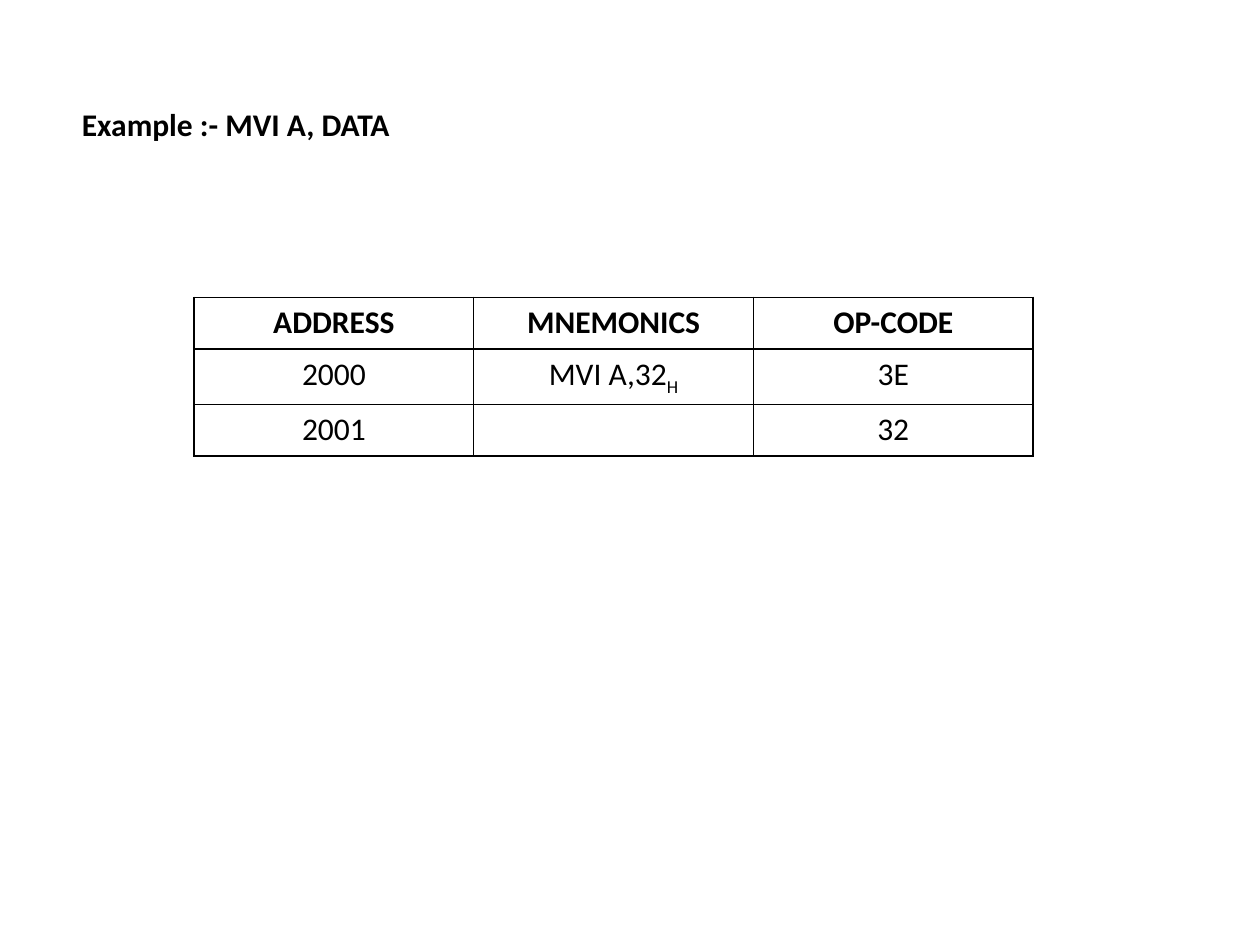
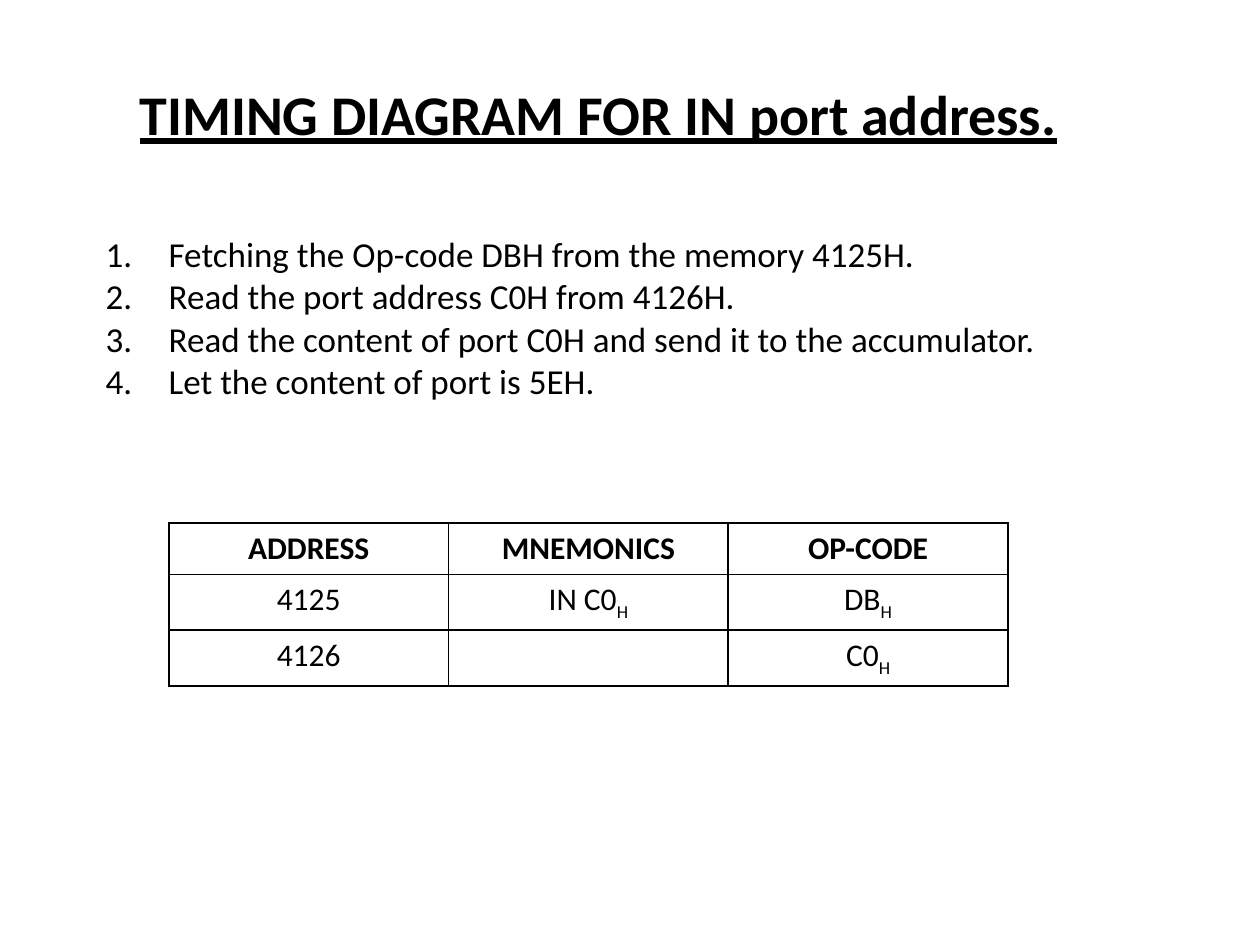
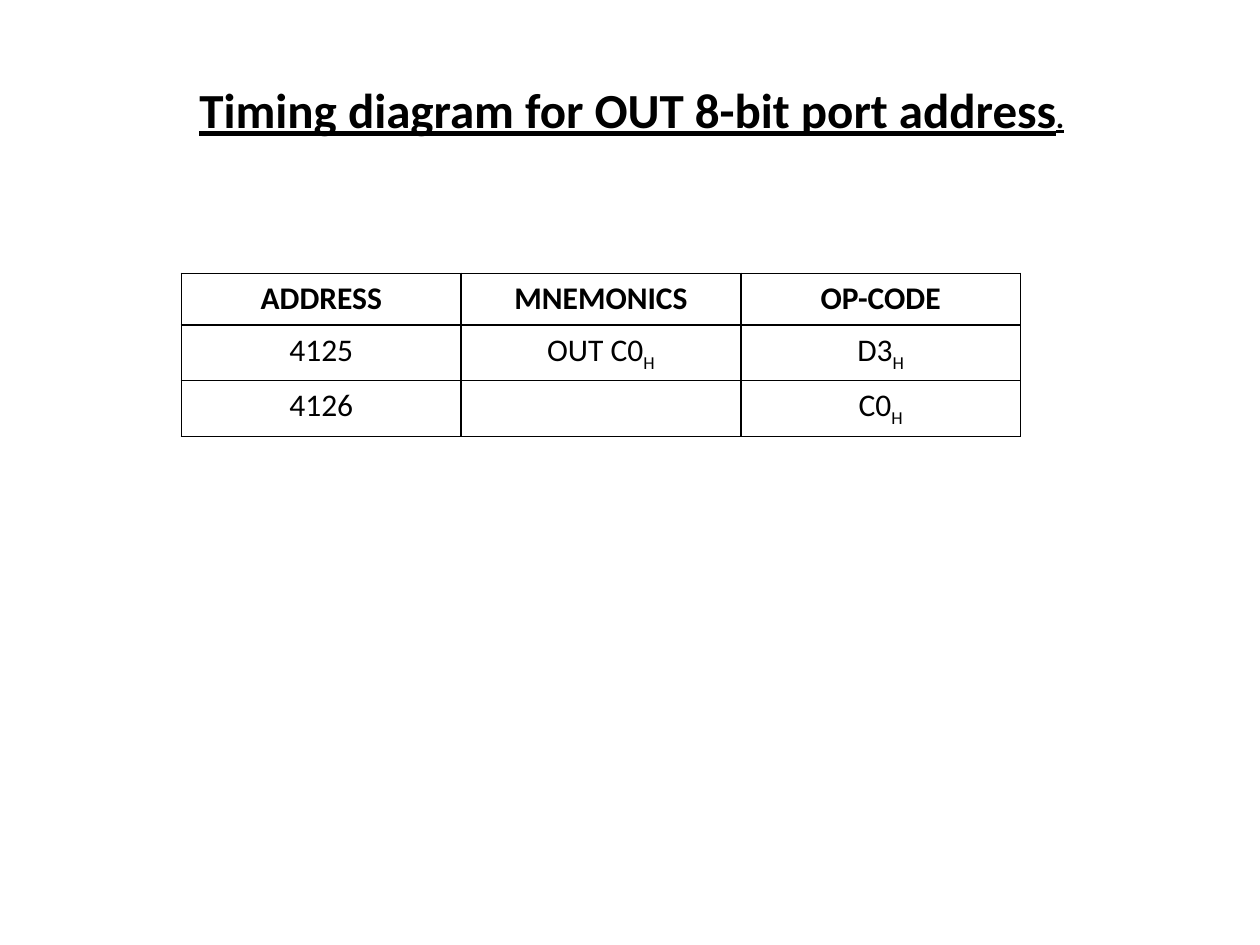
from lxml.etree import SubElement
from pptx import Presentation
from pptx.dml.color import RGBColor
from pptx.enum.text import MSO_ANCHOR as Anchor
from pptx.enum.text import MSO_AUTO_SIZE as AutoSize
from pptx.enum.text import PP_ALIGN as Align
from pptx.oxml.ns import qn
from pptx.util import Inches, Pt

FONT = "Calibri"
BLACK = "000000"
TITLE_ONLY = 5
HEADERS = ["ADDRESS", "MNEMONICS", "OP-CODE"]
COL_WIDTH, ROW_HEIGHT = 2.22, 0.41
UNDERLINED = {"bold": True, "underline": True}
FRAME = {
    "margin_left": Inches(0.1), "margin_right": Inches(0.1),
    "margin_top": Inches(0.05), "margin_bottom": Inches(0.05),
    "vertical_anchor": Anchor.TOP, "auto_size": AutoSize.SHAPE_TO_FIT_TEXT,
}


def color(hex_value):
    return RGBColor.from_string(hex_value)


def apply(target, values):
    for name, value in values.items():
        setattr(target, name, value)


def add_run(p, text, size, **font):
    r = p.add_run()
    r.text = text
    apply(r.font, {"name": FONT, "size": Pt(size), "bold": False, **font})
    r.font.color.rgb = color(BLACK)
    return r


def place(sp, left, top, width, height):
    apply(sp, {"left": Inches(left), "top": Inches(top),
               "width": Inches(width), "height": Inches(height)})


def add_title(s, box, runs, align=Align.CENTER, wrap=True):
    sp = s.shapes.title
    place(sp, *box)
    tf = sp.text_frame
    apply(tf, {**FRAME, "word_wrap": wrap})
    p = tf.paragraphs[0]
    p.alignment = align
    for text, size, font in runs:
        add_run(p, text, size, **font)


def add_numbered_list(s, box, items, size=20, indent=0.5):
    tf = s.shapes.add_textbox(*map(Inches, box)).text_frame
    apply(tf, {**FRAME, "word_wrap": True})
    for i, item in enumerate(items):
        p = tf.add_paragraph() if i else tf.paragraphs[0]
        pPr = p._p.get_or_add_pPr()
        pPr.set("marL", str(Inches(indent)))
        pPr.set("indent", str(-Inches(indent)))
        SubElement(pPr, qn("a:buFont"), typeface="+mj-lt")
        SubElement(pPr, qn("a:buAutoNum"), type="arabicPeriod")
        add_run(p, item, size)


def add_borders(cell):
    tcPr = cell._tc.get_or_add_tcPr()
    for side in ("lnL", "lnR", "lnT", "lnB"):
        ln = SubElement(tcPr, qn(f"a:{side}"), w=str(Pt(1)))
        fill = SubElement(ln, qn("a:solidFill"))
        SubElement(fill, qn("a:srgbClr"), val=BLACK)


def fill_cell(cell, text, bold):
    add_borders(cell)
    cell.fill.background()
    p = cell.text_frame.paragraphs[0]
    p.alignment = Align.CENTER
    base, _, subscript = text.partition("_")
    if base:
        add_run(p, base, 18, bold=bold)
    if subscript:
        r = add_run(p, subscript, 18, bold=bold)
        r.font._element.set("baseline", "-25000")


def add_opcode_table(s, left, top, instructions):
    rows = [HEADERS, *instructions]
    size = COL_WIDTH * len(HEADERS), ROW_HEIGHT * len(rows)
    table = s.shapes.add_table(len(rows), len(HEADERS),
                               *map(Inches, (left, top, *size))).table
    apply(table, {"first_row": False, "horz_banding": False})
    for column in table.columns:
        column.width = Inches(COL_WIDTH)
    for i, row in enumerate(rows):
        table.rows[i].height = Inches(ROW_HEIGHT)
        for j, text in enumerate(row):
            fill_cell(table.cell(i, j), text, bold=i == 0)


def add_slide(prs):
    return prs.slides.add_slide(prs.slide_layouts[TITLE_ONLY])


def main():
    prs = Presentation()
    apply(prs, {"slide_width": Inches(10), "slide_height": Inches(7.5)})

    s = add_slide(prs)
    add_title(s, (0.55, 0.78, 4.06, 0.4),
              [("Example :- MVI A, DATA", 18, {"bold": True})], Align.LEFT)
    add_opcode_table(s, 1.54, 2.36, [
        ["2000", "MVI A,32_H", "3E"],
        ["2001", "", "32"],
    ])

    s = add_slide(prs)
    add_title(s, (0.74, 0.58, 8.02, 0.64),
              [("TIMING DIAGRAM FOR IN port address.", 32, UNDERLINED)])
    add_numbered_list(s, (0.74, 1.8, 8.02, 1.44), [
        "Fetching the Op-code DBH from the memory 4125H.",
        "Read the port address C0H from 4126H.",
        "Read the content of port C0H and send it to the accumulator.",
        "Let the content of port is 5EH.",
    ])
    add_opcode_table(s, 1.34, 4.15, [
        ["4125", "IN C0_H", "DB_H"],
        ["4126", "", "C0_H"],
    ])

    s = add_slide(prs)
    add_title(s, (1.44, 0.58, 7.15, 0.57), [
        ("Timing diagram for OUT 8-bit port address", 28, UNDERLINED),
        (".", 18, UNDERLINED),
    ], wrap=False)
    add_opcode_table(s, 1.44, 2.17, [
        ["4125", "OUT C0_H", "D3_H"],
        ["4126", "", "C0_H"],
    ])

    prs.save("out.pptx")


if __name__ == "__main__":
    main()
